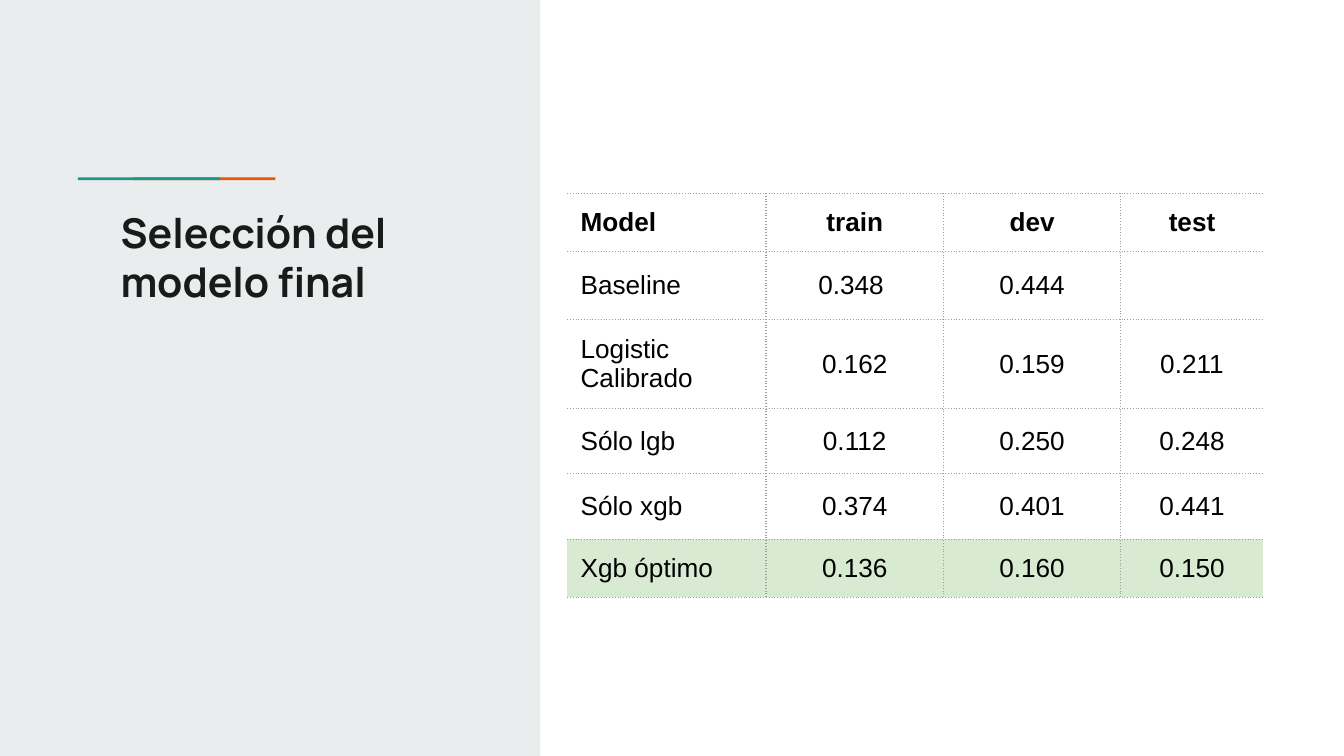
from collections import namedtuple
from dataclasses import dataclass

from lxml.etree import SubElement as add_element
from pptx import Presentation
from pptx.dml.color import RGBColor as Rgb
from pptx.enum.shapes import MSO_SHAPE as Shape
from pptx.enum.text import MSO_ANCHOR as Anchor, PP_ALIGN as Align
from pptx.oxml.ns import qn
from pptx.util import Pt

PX = 4572  # EMU in one px, 200 px to the inch
Box = namedtuple("Box", "left top width height")


@dataclass(frozen=True)
class Theme:
    panel: str = "E9EDEE"
    teal: str = "1A9988"
    orange: str = "EB5600"
    title: str = "1A1A1A"
    text: str = "000000"
    grid: str = "9E9E9E"
    best: str = "D9EAD3"
    title_font: str = "Manrope"
    table_font: str = "Arial"
    title_size: int = 22
    table_size: int = 14
    empty_size: int = 18
    grid_width: float = 0.75
    inset: int = 20


THEME = Theme()

SCORES = [
    ("Model", "train", "dev", "test"),
    ("Baseline", "0.348 ", "0.444", ""),
    ("Logistic Calibrado", "0.162", "0.159", "0.211"),
    ("Sólo lgb", "0.112", "0.250", "0.248"),
    ("Sólo xgb", "0.374", "0.401", "0.441"),
    ("Xgb óptimo", "0.136", "0.160", "0.150"),
]
COLUMN_WIDTHS = (296, 264, 264, 212)
ROW_HEIGHTS = (78, 78, 120, 96, 98, 82)


def emu(*lengths):
    return [length * PX for length in lengths]


def apply_format(target, values):
    for name, value in values.items():
        setattr(target, name, value)


def set_insets(target):
    inset = THEME.inset * PX
    apply_format(target, {f"margin_{side}": inset
                          for side in ("left", "top", "right", "bottom")})


def write(paragraph, text, color, **font_format):
    run = paragraph.add_run()
    run.text = text
    apply_format(run.font, font_format)
    run.font.color.rgb = Rgb.from_string(color)


def set_end_font(paragraph, size):
    """Gives the paragraph end, and so an empty cell, its font and height."""
    end = add_element(paragraph._p, qn("a:endParaRPr"), sz=str(size * 100))
    add_element(end, qn("a:latin"), typeface=THEME.table_font)


def add_block(slide, box, color):
    block = slide.shapes.add_shape(Shape.RECTANGLE, *emu(*box))
    block.shadow.inherit = False
    block.fill.solid()
    block.fill.fore_color.rgb = Rgb.from_string(color)
    block.line.fill.background()


def set_border(cell, side, visible):
    line = add_element(cell._tc.get_or_add_tcPr(), qn(f"a:ln{side}"),
                       w=str(Pt(THEME.grid_width)))
    if not visible:
        add_element(line, qn("a:noFill"))
        return
    fill = add_element(line, qn("a:solidFill"))
    add_element(fill, qn("a:srgbClr"), val=THEME.grid)
    add_element(line, qn("a:prstDash"), val="dot")


def add_title_panel(slide, box):
    add_block(slide, box, THEME.panel)

    # Two-colour accent line, teal overlapping orange
    for offset, color in ((198, THEME.orange), (116, THEME.teal)):
        add_block(slide, Box(box.left + offset, box.top + 264, 212, 4), color)

    # Title
    title = slide.shapes.add_textbox(
        *emu(box.left + 160, box.top + 288, box.width - 160, 370)).text_frame
    title.word_wrap = True
    set_insets(title)
    write(title.paragraphs[0], "Selección del modelo final", THEME.title,
          name=THEME.title_font, size=Pt(THEME.title_size), bold=True)


def add_score_table(slide, box):
    last_row, last_column = len(SCORES) - 1, len(COLUMN_WIDTHS) - 1
    table = slide.shapes.add_table(
        len(SCORES), len(COLUMN_WIDTHS), *emu(*box)).table
    apply_format(table, {"first_row": False, "horz_banding": False})
    for column, width in zip(table.columns, emu(*COLUMN_WIDTHS)):
        column.width = width
    for row, height in zip(table.rows, emu(*ROW_HEIGHTS)):
        row.height = height

    for r, scores in enumerate(SCORES):
        for c, score in enumerate(scores):
            cell = table.cell(r, c)
            set_insets(cell)
            cell.vertical_anchor = Anchor.MIDDLE

            # Dotted grid, open at the left and right; borders precede the fill
            for side, visible in (("L", c > 0), ("R", c < last_column),
                                  ("T", True), ("B", True)):
                set_border(cell, side, visible)
            if r == last_row:
                cell.fill.solid()
                cell.fill.fore_color.rgb = Rgb.from_string(THEME.best)
            else:
                cell.fill.background()

            paragraph = cell.text_frame.paragraphs[0]
            paragraph.alignment = Align.CENTER if c else Align.LEFT
            if score:
                write(paragraph, score, THEME.text, name=THEME.table_font,
                      size=Pt(THEME.table_size), bold=r == 0)
            set_end_font(paragraph,
                         THEME.table_size if score else THEME.empty_size)


def main():
    deck = Presentation()
    apply_format(deck, {"slide_width": 2000 * PX, "slide_height": 1125 * PX})
    slide = deck.slides.add_slide(deck.slide_layouts[6])
    add_title_panel(slide, Box(0, 0, 804, 1125))
    add_score_table(slide, Box(844, 288, sum(COLUMN_WIDTHS), sum(ROW_HEIGHTS)))
    deck.save("out.pptx")


if __name__ == "__main__":
    main()
